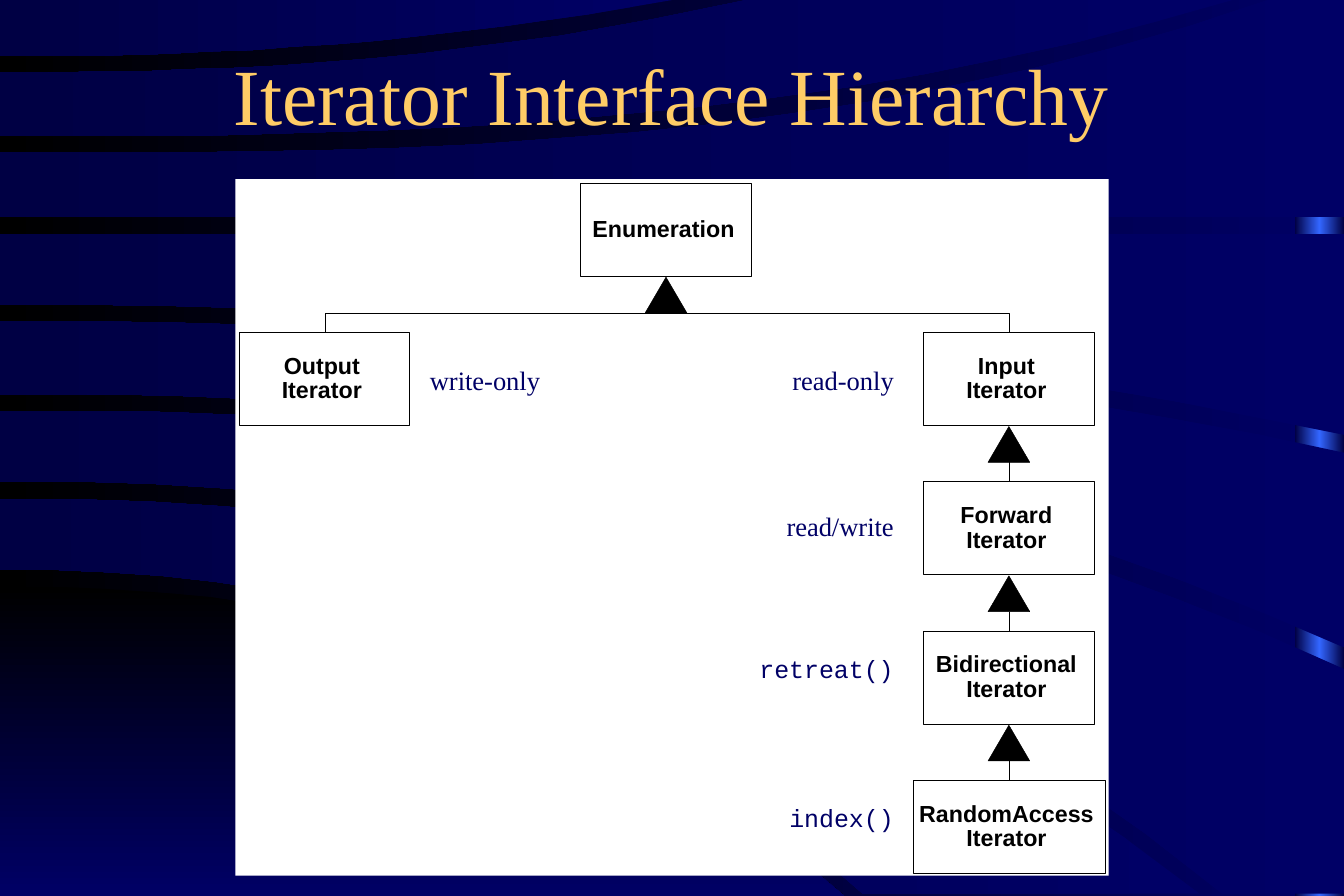
from copy import deepcopy
from dataclasses import dataclass

from lxml.etree import SubElement
from pptx import Presentation
from pptx.dml.color import RGBColor
from pptx.dml.fill import FillFormat
from pptx.enum.shapes import MSO_CONNECTOR, MSO_SHAPE
from pptx.enum.text import MSO_ANCHOR, PP_ALIGN
from pptx.oxml.ns import qn
from pptx.shapes.autoshape import Shape
from pptx.slide import Slide
from pptx.text.text import TextFrame
from pptx.util import Pt

PX = 9144
WIDTH, HEIGHT = 1125, 750
NAVY = RGBColor(0x00, 0x00, 0x66)
DARK_NAVY = RGBColor(0x00, 0x00, 0x44)
BRIGHT_BLUE = RGBColor(0x33, 0x66, 0xFF)
BLACK = RGBColor(0x00, 0x00, 0x00)
WHITE = RGBColor(0xFF, 0xFF, 0xFF)
GOLD = RGBColor(0xFF, 0xCC, 0x66)

HAIRLINE = Pt(0.25)
BOX_WIDTH, BOX_HEIGHT, LEVEL_STEP = 143, 78, 125
FIRST_TOP, RIGHT_LEFT = 153, 773
TRIANGLE_WIDTH, TRIANGLE_HEIGHT = 35, 30
CURVE_STEPS = 16

BOX_FONT = {"name": "Arial", "size": Pt(14), "bold": True}
NOTE_FONT = {"name": "Times New Roman", "size": Pt(16)}
CODE_FONT = {"name": "Courier New", "size": Pt(15)}
TITLE_FONT = {"name": "Times New Roman", "size": Pt(48)}

Points = list[tuple[int, int]]


@dataclass
class Edge:
    start_y: int
    end_x: int
    end_y: int
    power: float = 2.4

    def points(self) -> Points:
        shares = [step / CURVE_STEPS for step in range(CURVE_STEPS + 1)]
        rise = self.end_y - self.start_y
        return [(round(self.end_x * share), round(self.start_y + rise * share ** self.power))
                for share in shares]


@dataclass
class Band:
    upper: Edge
    lower: Edge
    corners: tuple[tuple[int, int], ...] = ()
    colors: tuple[RGBColor, ...] = (NAVY, DARK_NAVY)
    angle: int = 180

    def outline(self) -> Points:
        return [*self.upper.points(), *self.corners, *reversed(self.lower.points())]


@dataclass
class ClassBox:
    text: str
    left: int
    level: int
    width: int = BOX_WIDTH

    @property
    def top(self) -> int:
        return FIRST_TOP + self.level * LEVEL_STEP


@dataclass
class Label:
    text: str
    left: int
    top: int
    alignment: PP_ALIGN
    font: dict


BANDS = [
    Band(Edge(491, 707, HEIGHT), Edge(HEIGHT, 707, HEIGHT), (), (BLACK, NAVY), 270),
    Band(Edge(418, 1004, 748), Edge(477, 722, 748)),
    Band(Edge(344, WIDTH, 560), Edge(403, 1023, 748), ((WIDTH, 748),)),
    Band(Edge(269, WIDTH, 379, 2.2), Edge(330, WIDTH, 542)),
    Band(Edge(196, WIDTH, 196), Edge(255, WIDTH, 364, 2.2)),
    Band(Edge(128, 1061, 0, 2.9), Edge(182, WIDTH, 182), ((WIDTH, 0),)),
    Band(Edge(61, 625, 0, 2.3), Edge(114, 1032, 0, 2.7)),
    Band(Edge(0, 563, 0), Edge(47, 563, 0, 2.2)),
]

ENUMERATION = ClassBox("Enumeration", 486, 0)
OUTPUT = ClassBox("Output\nIterator", 200, 1)
RIGHT_CHAIN = [
    ClassBox("Input\nIterator", RIGHT_LEFT, 1),
    ClassBox("Forward\nIterator", RIGHT_LEFT, 2),
    ClassBox("Bidirectional\nIterator", RIGHT_LEFT, 3),
    ClassBox("RandomAccess\nIterator", 764, 4, 161),
]
LABELS = [
    Label("write-only", 350, 300, PP_ALIGN.LEFT, NOTE_FONT),
    Label("read-only", 600, 300, PP_ALIGN.RIGHT, NOTE_FONT),
    Label("read/write", 600, 422, PP_ALIGN.RIGHT, NOTE_FONT),
    Label("retreat()", 600, 542, PP_ALIGN.RIGHT, CODE_FONT),
    Label("index()", 600, 667, PP_ALIGN.RIGHT, CODE_FONT),
]


def paint_gradient(fill: FillFormat, colors: tuple[RGBColor, ...], angle: int) -> None:
    fill.gradient()
    fill.gradient_angle = angle
    for index, (stop, color) in enumerate(zip(fill.gradient_stops, colors)):
        stop.position = index / (len(colors) - 1)
        stop.color.rgb = color


def write_text(frame: TextFrame, text: str, alignment: PP_ALIGN, font: dict, color: RGBColor) -> None:
    frame.text = text
    for paragraph in frame.paragraphs:
        paragraph.alignment = alignment
        for name, value in font.items():
            setattr(paragraph.font, name, value)
        paragraph.font.color.rgb = color


def add_polygon(slide: Slide, points: Points, close: bool) -> Shape:
    builder = slide.shapes.build_freeform(*points[0], scale=PX)
    builder.add_line_segments(points[1:], close=close)
    shape = builder.convert_to_shape()
    shape.shadow.inherit = False
    return shape


def add_preset(slide: Slide, kind: MSO_SHAPE, left: int, top: int, width: int, height: int,
               color: RGBColor, outlined: bool) -> Shape:
    shape = slide.shapes.add_shape(kind, left * PX, top * PX, width * PX, height * PX)
    shape.shadow.inherit = False
    shape.fill.solid()
    shape.fill.fore_color.rgb = color
    if outlined:
        shape.line.color.rgb = BLACK
        shape.line.width = HAIRLINE
    else:
        shape.line.fill.background()
    return shape


def add_background(slide: Slide) -> None:
    paint_gradient(slide.background.fill, (NAVY, BLACK), 180)
    strip = add_preset(slide, MSO_SHAPE.RECTANGLE, 1084, 0, 41, HEIGHT, NAVY, False)
    strip.fill.gradient()
    stops = strip._element.spPr.find(".//" + qn("a:gsLst"))
    stops.append(deepcopy(stops[0]))
    paint_gradient(strip.fill, (DARK_NAVY, BRIGHT_BLUE, DARK_NAVY), 180)
    for band in BANDS:
        shape = add_polygon(slide, band.outline(), True)
        paint_gradient(shape.fill, band.colors, band.angle)
        shape.line.fill.background()


def add_title(slide: Slide) -> None:
    title = slide.shapes.title
    slide.shapes._spTree.append(title._element)
    title.left, title.top, title.width, title.height = (v * PX for v in (84, 25, 956, 117))
    title.text_frame.vertical_anchor = MSO_ANCHOR.MIDDLE
    write_text(title.text_frame, "Iterator Interface Hierarchy", PP_ALIGN.CENTER, TITLE_FONT, GOLD)
    title.text_frame.paragraphs[0].line_spacing = 0.9


def add_class_box(slide: Slide, box: ClassBox) -> Shape:
    shape = add_preset(slide, MSO_SHAPE.RECTANGLE, box.left, box.top, box.width, BOX_HEIGHT, WHITE, True)
    frame = shape.text_frame
    frame.margin_left = frame.margin_top = frame.margin_bottom = 0
    frame.margin_right = 4 * PX
    frame.vertical_anchor = MSO_ANCHOR.MIDDLE
    write_text(frame, box.text, PP_ALIGN.CENTER, BOX_FONT, BLACK)
    for paragraph in frame.paragraphs:
        paragraph.line_spacing = Pt(15)
    return shape


def add_triangle(slide: Slide, parent: ClassBox) -> Shape:
    left = parent.left + (parent.width - TRIANGLE_WIDTH) // 2
    return add_preset(slide, MSO_SHAPE.ISOSCELES_TRIANGLE, left, parent.top + BOX_HEIGHT + 1,
                      TRIANGLE_WIDTH, TRIANGLE_HEIGHT, BLACK, True)


def add_stem(slide: Slide, triangle: Shape, child: Shape) -> None:
    middle = triangle.left + triangle.width // 2
    stem = slide.shapes.add_connector(MSO_CONNECTOR.STRAIGHT, middle, triangle.top + triangle.height,
                                      middle, child.top)
    stem.end_connect(child, 0)
    stem.line.color.rgb = BLACK
    stem.line.width = HAIRLINE
    SubElement(stem._element.spPr, qn("a:effectLst"))


def add_label(slide: Slide, label: Label) -> None:
    box = slide.shapes.add_textbox(label.left * PX, label.top * PX, 158 * PX, 37 * PX)
    box.text_frame.word_wrap = True
    write_text(box.text_frame, label.text, label.alignment, label.font, NAVY)


def main() -> None:
    presentation = Presentation()
    presentation.slide_width, presentation.slide_height = WIDTH * PX, HEIGHT * PX
    slide = presentation.slides.add_slide(presentation.slide_layouts[5])
    add_background(slide)
    add_title(slide)
    add_preset(slide, MSO_SHAPE.RECTANGLE, 197, 150, 731, 583, WHITE, False)
    for box in (ENUMERATION, OUTPUT):
        add_class_box(slide, box)
    chain = [add_class_box(slide, box) for box in RIGHT_CHAIN]
    add_triangle(slide, ENUMERATION)
    branch = add_polygon(slide, [(272, 278), (272, 262), (845, 262), (845, 278)], False)
    branch.fill.background()
    branch.line.color.rgb = BLACK
    branch.line.width = HAIRLINE
    for parent, child in zip(RIGHT_CHAIN, chain[1:]):
        add_stem(slide, add_triangle(slide, parent), child)
    for label in LABELS:
        add_label(slide, label)
    presentation.save("out.pptx")


if __name__ == "__main__":
    main()
